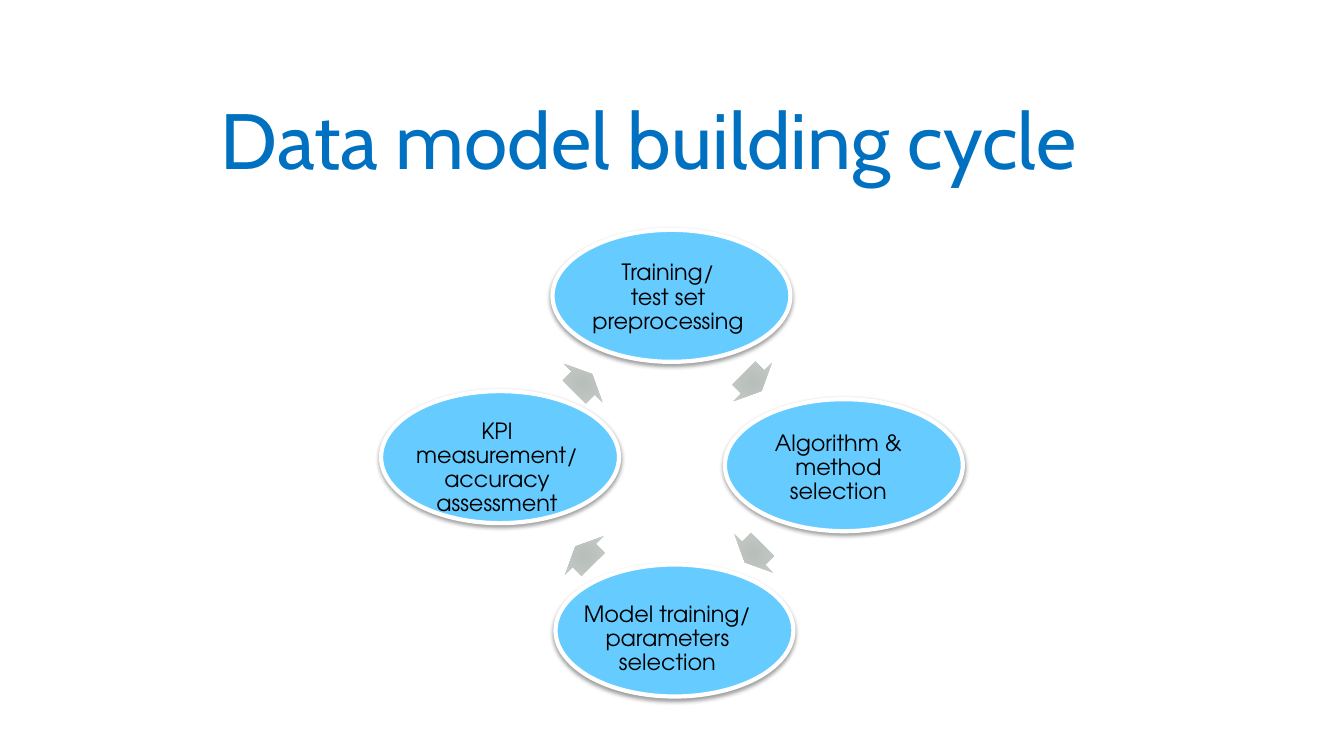
"""Build a slide showing the data model building cycle."""
from lxml import etree
from pptx import Presentation
from pptx.dml.color import RGBColor
from pptx.enum.shapes import MSO_SHAPE
from pptx.enum.text import MSO_ANCHOR, MSO_AUTO_SIZE, PP_ALIGN
from pptx.oxml import parse_xml
from pptx.oxml.ns import qn
from pptx.util import Inches, Pt

OVAL, ARROW = MSO_SHAPE.OVAL, MSO_SHAPE.RIGHT_ARROW
MIDDLE, CENTER, NO_FIT = MSO_ANCHOR.MIDDLE, PP_ALIGN.CENTER, MSO_AUTO_SIZE.NONE
TITLE_ONLY = 5
COLORS = {"title": "0070C0", "stage": "66CCFF", "outline": "FFFFFF", "text": "000000",
          "arrow_center": "B8BEBA", "arrow_edge": "CBD3CE"}
DRAWING_NS = "http://schemas.openxmlformats.org/drawingml/2006/main"
STAGE_SHADOW = (f'<a:effectLst xmlns:a="{DRAWING_NS}">'
                '<a:outerShdw blurRad="40000" dist="20000" dir="5400000" rotWithShape="0">'
                '<a:srgbClr val="000000"><a:alpha val="38000"/></a:srgbClr>'
                '</a:outerShdw></a:effectLst>')


def color(name):
    return RGBColor.from_string(COLORS[name])


def write(shape, text, *, font, size, ink, spacing, after=0, margins=(0.02, 0.02)):
    frame = shape.text_frame
    frame.word_wrap = True
    frame.auto_size = NO_FIT
    frame.vertical_anchor = MIDDLE
    frame.margin_left = frame.margin_right = Inches(margins[0])
    frame.margin_top = frame.margin_bottom = Inches(margins[1])
    paragraph = frame.paragraphs[0]
    paragraph.text = text
    paragraph.alignment = CENTER
    paragraph.line_spacing = spacing
    paragraph.space_after = Pt(after)
    for run in paragraph.runs:
        run.font.name = font
        run.font.size = Pt(size)
        run.font.color.rgb = color(ink)


deck = Presentation()
deck.slide_width, deck.slide_height = Inches(13.33), Inches(7.5)
slide = deck.slides.add_slide(deck.slide_layouts[TITLE_ONLY])

title = slide.shapes.title
title.left, title.top = Inches(1.12), Inches(0.64)
title.width, title.height = Inches(10.63), Inches(1.64)
write(title, "Data model building cycle", font="Cabin", size=56, ink="title",
      spacing=0.8, margins=(0.1, 0.05))

stages = [
    ("KPI measurement/ accuracy assessment", (3.78, 3.88), (3.95, 4.08), 1.96),
    ("Model training/\nparameters selection", (5.51, 5.6), (5.71, 5.78), 1.82),
    ("Algorithm & method selection", (7.19, 3.96), (7.39, 4.08), 1.85),
    ("Training/\ntest set preprocessing", (5.48, 2.28), (5.73, 2.39), 1.79),
]
for label, (left, top), label_at, label_width in stages:
    stage = slide.shapes.add_shape(OVAL, Inches(left), Inches(top), Inches(2.36), Inches(1.31))
    stage.fill.solid()
    stage.fill.fore_color.rgb = color("stage")
    stage.line.color.rgb = color("outline")
    stage.line.width = Pt(3)
    stage.element.spPr.append(parse_xml(STAGE_SHADOW))

for label, stage_at, (left, top), label_width in stages:
    stage_label = slide.shapes.add_textbox(Inches(left), Inches(top),
                                           Inches(label_width), Inches(1.13))
    write(stage_label, label, font="TeX Gyre Adventor", size=16, ink="text",
          spacing=0.9, after=5.6)

arrow_spots = [(7.34, 3.52), (7.35, 5.22), (5.67, 5.24), (5.66, 3.53)]
for step, (left, top) in enumerate(arrow_spots):
    arrow = slide.shapes.add_shape(ARROW, Inches(left), Inches(top), Inches(0.25), Inches(0.54))
    arrow.rotation = 45 + 90 * step
    arrow.adjustments[0], arrow.adjustments[1] = 0.6, 0.5
    arrow.shadow.inherit = False
    arrow.line.fill.background()
    arrow.fill.gradient()
    for stop, name in zip(arrow.fill.gradient_stops, ("arrow_center", "arrow_edge")):
        stop.color.rgb = color(name)
    gradient = arrow.element.spPr.find(qn("a:gradFill"))
    linear = gradient.find(qn("a:lin"))
    radial = etree.Element(qn("a:path"), {"path": "circle"})
    etree.SubElement(radial, qn("a:fillToRect"), dict.fromkeys("ltrb", "50000"))
    gradient.replace(linear, radial)

deck.save("out.pptx")
